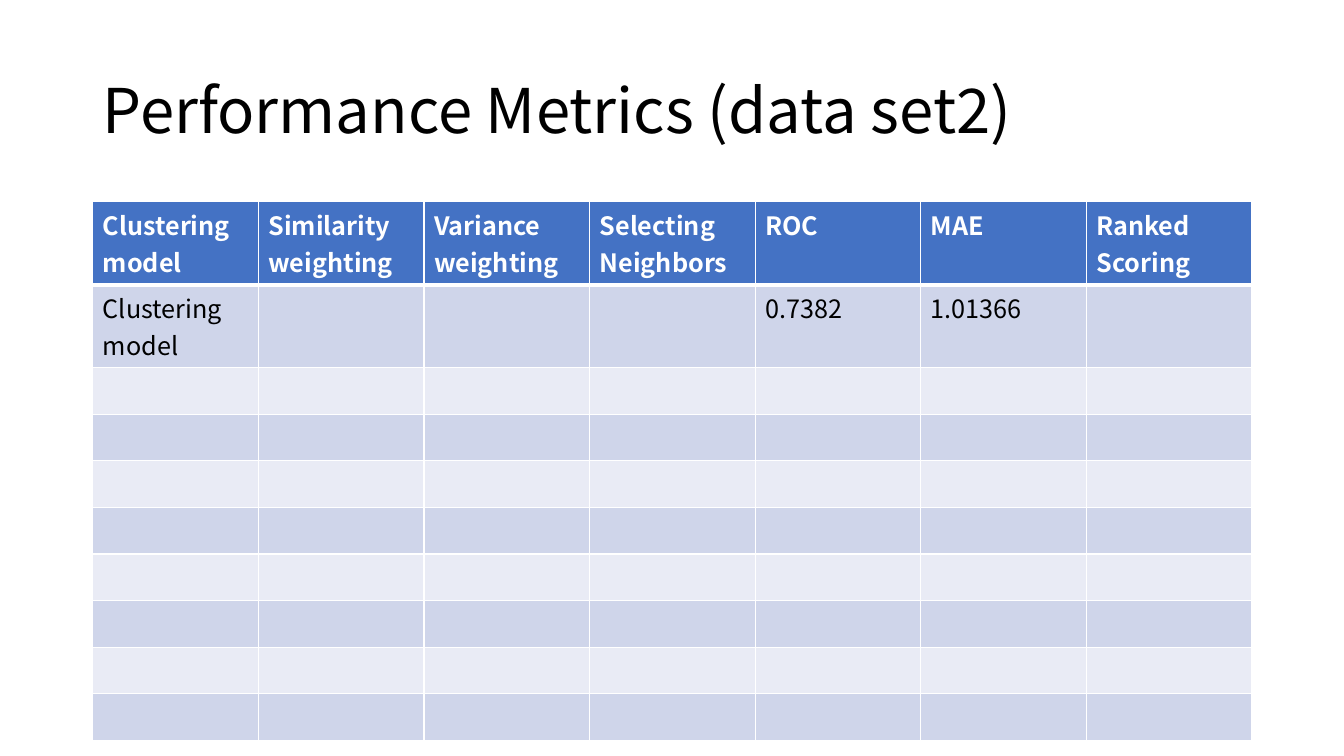
"""Build the performance metrics slide with its results table."""
import lxml.etree
import pptx
import pptx.dml.color
import pptx.enum.text
import pptx.oxml.ns
import pptx.util

Inches, Pt = pptx.util.Inches, pptx.util.Pt
qn = pptx.oxml.ns.qn
rgb = pptx.dml.color.RGBColor.from_string

TITLE = "Performance Metrics (data set2)"
HEADINGS = ["Clustering\nmodel", "Similarity weighting", "Variance weighting",
            "Selecting\nNeighbors", "ROC", "MAE", "Ranked\nScoring"]
RESULTS = [["Clustering model", "", "", "", "0.7382", "1.01366", ""]]
EMPTY_ROWS = 8

THEME = {
    "font": "Noto Sans CJK SC", "title_size": 44, "table_size": 18,
    "text": "000000", "heading_text": "FFFFFF", "heading_fill": "4472C4",
    "bands": ("CFD5EA", "E9EBF5"), "border": "FFFFFF",
    "border_width": 1, "heading_rule": 3,
}
LEFT, WIDTH = 0.92, 11.5
TITLE_TOP, TITLE_HEIGHT = 0.4, 1.45
TABLE_TOP, ROW_HEIGHT = 2, 0.41


def apply(target, values):
    """Set every attribute named in a dict."""
    for key, value in values.items():
        setattr(target, key, value)


def style_font(font, size, color, bold=False):
    """Give a font the theme typeface, a size and a colour."""
    apply(font, {"name": THEME["font"], "size": Pt(size), "bold": bold})
    font.color.rgb = rgb(color)


def add_border(cell, side, width):
    """Draw one side of a cell in the border colour."""
    line = lxml.etree.SubElement(cell._tc.get_or_add_tcPr(), qn(f"a:ln{side}"), w=str(Pt(width)))
    fill = lxml.etree.SubElement(line, qn("a:solidFill"))
    lxml.etree.SubElement(fill, qn("a:srgbClr"), val=THEME["border"])


def fill_cell(cell, text, row):
    """Write and format one table cell."""
    heading = row == 0
    for side in "LRTB":
        ruled = (side, row) in (("B", 0), ("T", 1))
        add_border(cell, side, THEME["heading_rule" if ruled else "border_width"])
    cell.fill.solid()
    cell.fill.fore_color.rgb = rgb(THEME["heading_fill"] if heading else THEME["bands"][(row - 1) % 2])
    cell.text = text
    for paragraph in cell.text_frame.paragraphs:
        for run in paragraph.runs:
            style_font(run.font, THEME["table_size"], THEME["heading_text" if heading else "text"], heading)
        if not paragraph.runs:
            end = lxml.etree.SubElement(paragraph._p, qn("a:endParaRPr"), sz=str(THEME["table_size"] * 100))
            lxml.etree.SubElement(end, qn("a:latin"), typeface=THEME["font"])


def add_title(slide):
    """Place and format the slide title."""
    title = slide.shapes.title
    apply(title, {"left": Inches(LEFT), "top": Inches(TITLE_TOP),
                  "width": Inches(WIDTH), "height": Inches(TITLE_HEIGHT)})
    title.text_frame.text = TITLE
    apply(title.text_frame, {"vertical_anchor": pptx.enum.text.MSO_ANCHOR.MIDDLE,
                             "auto_size": pptx.enum.text.MSO_AUTO_SIZE.NONE, "word_wrap": True})
    heading = title.text_frame.paragraphs[0]
    apply(heading, {"alignment": pptx.enum.text.PP_ALIGN.LEFT, "line_spacing": 0.9})
    style_font(heading.runs[0].font, THEME["title_size"], THEME["text"])


def add_metrics(slide):
    """Add the metrics table with equal columns and rows."""
    rows = [HEADINGS, *RESULTS, *[[""] * len(HEADINGS)] * EMPTY_ROWS]
    metrics = slide.shapes.add_table(
        len(rows), len(HEADINGS), Inches(LEFT), Inches(TABLE_TOP),
        Inches(WIDTH), Inches(ROW_HEIGHT * len(rows))).table
    for row, texts in enumerate(rows):
        for column, text in enumerate(texts):
            fill_cell(metrics.cell(row, column), text, row)


def main():
    """Assemble and save the slide."""
    deck = pptx.Presentation()
    apply(deck, {"slide_width": Inches(13.33), "slide_height": Inches(7.5)})
    slide = deck.slides.add_slide(deck.slide_layouts[5])
    add_title(slide)
    add_metrics(slide)
    deck.save("out.pptx")


if __name__ == "__main__":
    main()
